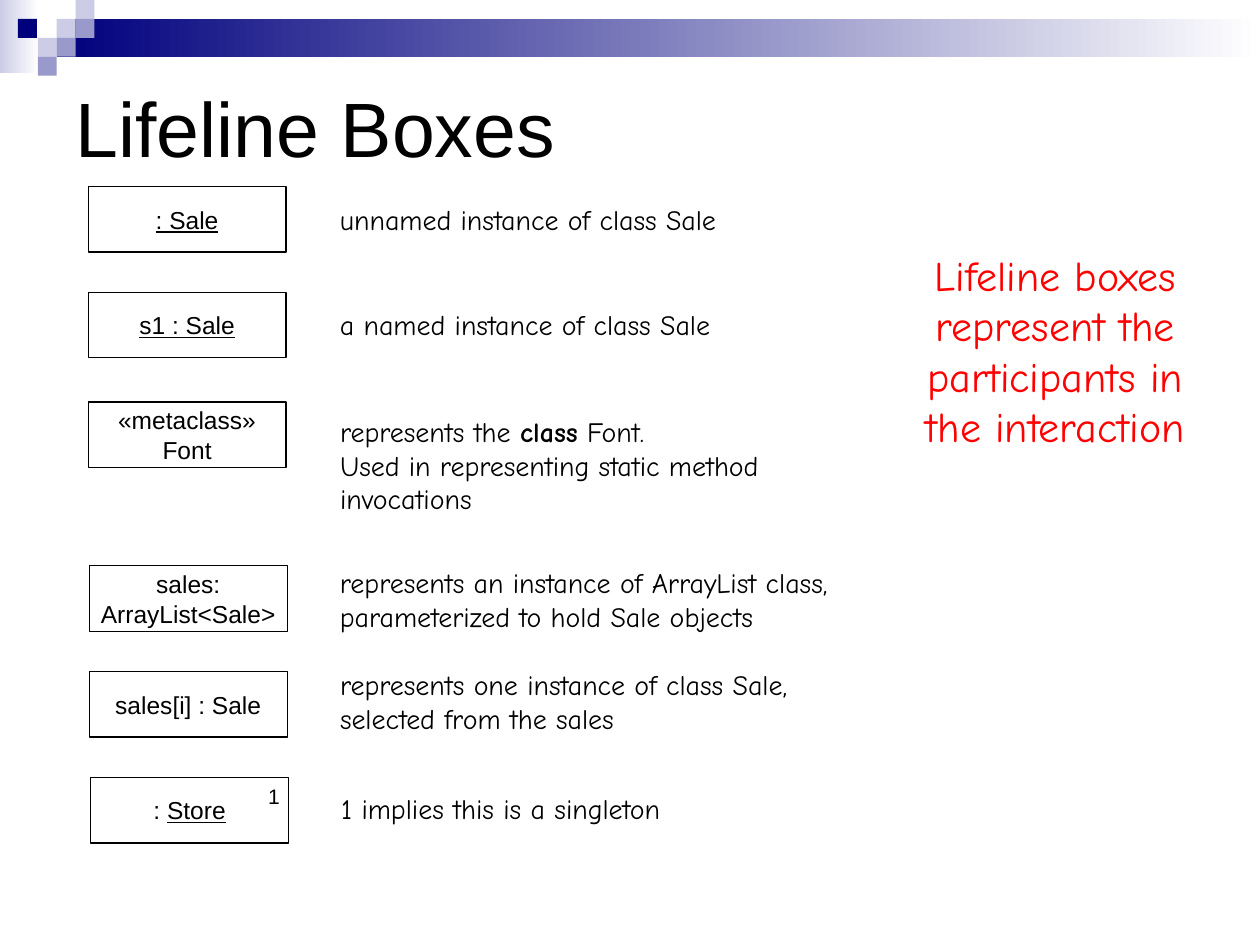
from dataclasses import dataclass

from pptx import Presentation
from pptx.dml.color import RGBColor
from pptx.enum.shapes import MSO_SHAPE
from pptx.enum.text import MSO_ANCHOR, MSO_AUTO_SIZE, PP_ALIGN
from pptx.util import Inches, Pt

RECTANGLE = MSO_SHAPE.RECTANGLE
TOP, MIDDLE = MSO_ANCHOR.TOP, MSO_ANCHOR.MIDDLE
LEFT, CENTER = PP_ALIGN.LEFT, PP_ALIGN.CENTER
GROW, FIXED = MSO_AUTO_SIZE.SHAPE_TO_FIT_TEXT, MSO_AUTO_SIZE.NONE
TITLE_ONLY = 5


@dataclass(frozen=True)
class Theme:
    ink: RGBColor = RGBColor(0x00, 0x00, 0x00)
    accent: RGBColor = RGBColor(0xFF, 0x00, 0x00)
    white: RGBColor = RGBColor(0xFF, 0xFF, 0xFF)
    navy: RGBColor = RGBColor(0x00, 0x00, 0x7D)
    violet: RGBColor = RGBColor(0x99, 0x99, 0xCC)
    lavender: RGBColor = RGBColor(0xCC, 0xCC, 0xE6)
    label_font: str = "Arial"
    note_font: str = "Comic Neue"
    title_size: int = 44
    callout_size: int = 24
    note_size: int = 16
    label_size: int = 14
    count_size: int = 12
    outline: float = 0.75


THEME = Theme()
BOX_SIZE = (1.57, 0.52)

LIFELINES = [
    ((0.7, 1.48), [[(": Sale", "u")]],
     (2.6, 1.56, 3.4, 0.37), ["unnamed instance of class Sale"]),
    ((0.7, 2.32), [[("s1 : Sale", "u")]],
     (2.6, 2.39, 3.34, 0.37), ["a named instance of class Sale"]),
    ((0.7, 3.19), ["«metaclass»", "Font"],
     (2.6, 3.24, 3.91, 0.91),
     [["represents the ", ("class", "b"), " Font."],
      "Used in representing static method", "invocations"]),
    ((0.71, 4.49), ["sales:", "ArrayList<Sale>"],
     (2.6, 4.44, 4.56, 0.64),
     ["represents an instance of ArrayList class,",
      "parameterized to hold Sale objects"]),
    ((0.71, 5.33), ["sales[i] : Sale"],
     (2.6, 5.25, 4.12, 0.64),
     ["represents one instance of class Sale,", "selected from the sales"]),
    ((0.72, 6.17), [[": ", ("Store", "u")]],
     (2.61, 6.23, 3.01, 0.37), ["1 implies this is a singleton"]),
]


def inches(box):
    return [Inches(length) for length in box]


def write_text(shape, lines, *, font, size, color=THEME.ink, align=LEFT,
               anchor=TOP, wrap=False, fit=FIXED):
    frame = shape.text_frame
    frame.auto_size = fit
    frame.word_wrap = wrap
    frame.vertical_anchor = anchor
    for index, line in enumerate(lines):
        paragraph = frame.add_paragraph() if index else frame.paragraphs[0]
        paragraph.alignment = align
        for part in [line] if isinstance(line, str) else line:
            words, style = (part, "") if isinstance(part, str) else part
            run = paragraph.add_run()
            run.text = words
            run.font.name = font
            run.font.size = Pt(size)
            run.font.color.rgb = color
            run.font.bold = style == "b"
            run.font.underline = style == "u"


def add_rectangle(slide, box):
    shape = slide.shapes.add_shape(RECTANGLE, *inches(box))
    shape.shadow.inherit = False
    shape.line.fill.background()
    return shape


def add_fading_band(slide, box, color):
    fill = add_rectangle(slide, box).fill
    fill.gradient()
    fill.gradient_angle = 0
    for stop, position, tint in zip(fill.gradient_stops, (0, 1), (color, THEME.white)):
        stop.position = position
        stop.color.rgb = tint


def add_header(slide, box):
    left, top, width, height = box
    tile = height / 4
    add_fading_band(slide, (left, top, 0.31, 0.58), THEME.lavender)
    add_fading_band(slide, (left + 3 * tile, top + tile, width - 3 * tile, 2 * tile),
                    THEME.navy)
    tiles = [(3, 1, THEME.lavender), (4, 0, THEME.lavender), (4, 1, THEME.violet),
             (2, 2, THEME.lavender), (0.95, 1, THEME.navy), (3, 2, THEME.violet),
             (2, 3, THEME.violet)]
    for column, row, color in tiles:
        shape = add_rectangle(
            slide, (left + column * tile, top + row * tile, tile, tile))
        shape.fill.solid()
        shape.fill.fore_color.rgb = color


def add_title(slide, box, words):
    title = slide.shapes.title
    title.left, title.top, title.width, title.height = inches(box)
    write_text(title, [words], font=THEME.label_font, size=THEME.title_size,
               anchor=MIDDLE, wrap=True)


def add_lifeline_box(slide, box, lines):
    shape = add_rectangle(slide, box)
    shape.fill.background()
    shape.line.color.rgb = THEME.ink
    shape.line.width = Pt(THEME.outline)
    write_text(shape, lines, font=THEME.label_font, size=THEME.label_size,
               align=CENTER, anchor=MIDDLE)


def add_note(slide, box, lines, *, font=THEME.note_font, size=THEME.note_size,
             **text_format):
    shape = slide.shapes.add_textbox(*inches(box))
    write_text(shape, lines, font=font, size=size, fit=GROW, **text_format)


def main():
    presentation = Presentation()
    presentation.slide_width, presentation.slide_height = inches((10, 7.5))
    slide = presentation.slides.add_slide(presentation.slide_layouts[TITLE_ONLY])
    add_header(slide, (0, 0, 10, 0.6))
    add_title(slide, (0.5, 0.5, 9, 1.01), "Lifeline Boxes")
    for corner, label, note_box, note in LIFELINES:
        add_lifeline_box(slide, corner + BOX_SIZE, label)
        add_note(slide, note_box, note)
    add_note(slide, (2.03, 6.17, 0.29, 0.3), ["1"],
             font=THEME.label_font, size=THEME.count_size)
    add_note(slide, (7.15, 1.93, 2.45, 2.1),
             ["Lifeline boxes represent the participants in the interaction"],
             size=THEME.callout_size, color=THEME.accent, align=CENTER, wrap=True)
    presentation.save("out.pptx")


if __name__ == "__main__":
    main()
